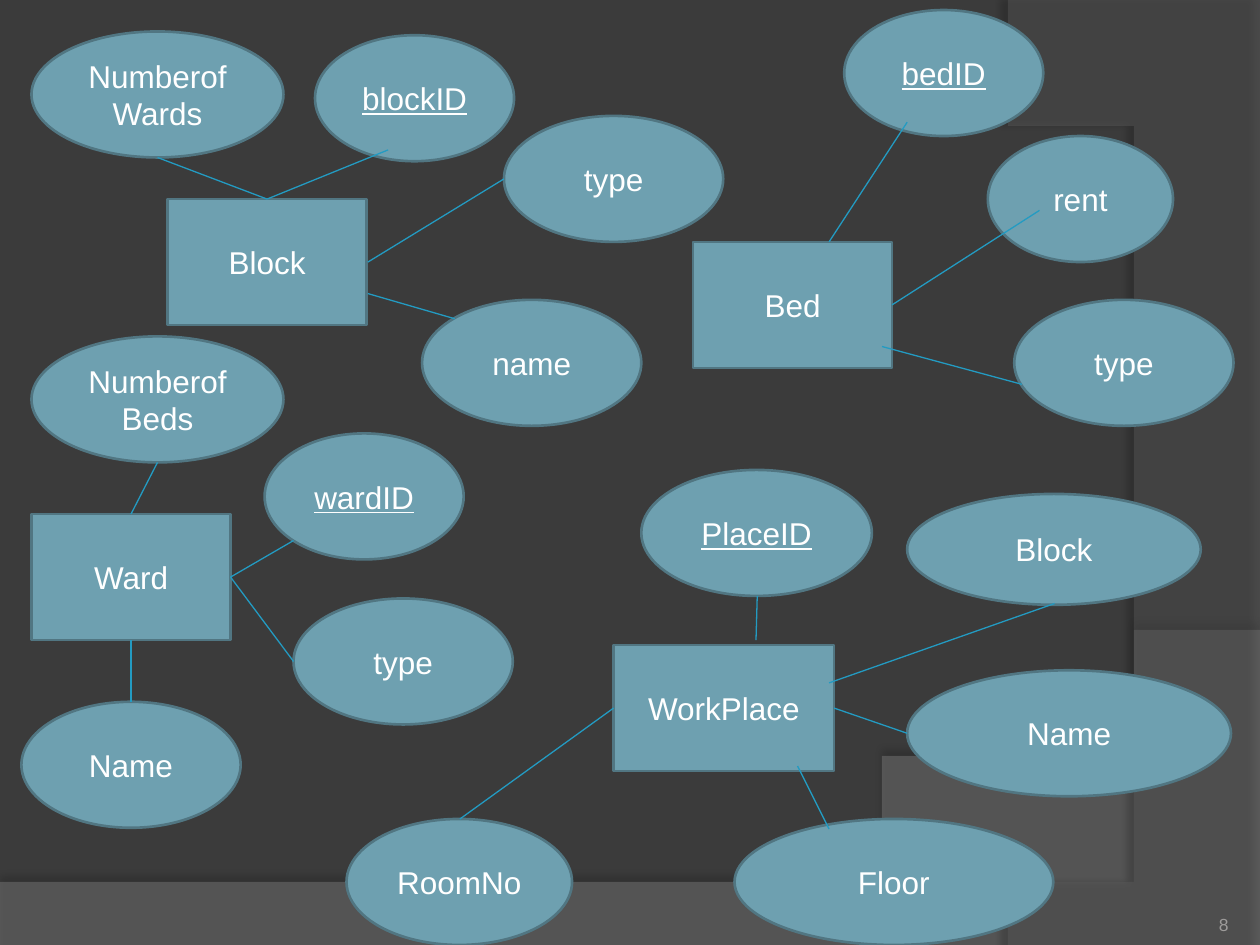
from lxml.etree import SubElement
from pptx import Presentation
from pptx.dml.color import RGBColor
from pptx.enum.shapes import MSO_CONNECTOR as CONNECTOR, MSO_SHAPE as SHAPE
from pptx.enum.text import MSO_ANCHOR as ANCHOR, PP_ALIGN as ALIGN
from pptx.oxml.ns import qn
from pptx.util import Inches, Pt

# Content: each entity with its box, attributes (label, box, is key) and links
DIAGRAM = [
    {"entity": ("Bed", (5.5, 1.92, 1.58, 1)),
     "attributes": [("bedID", (6.7, 0.08, 1.58, 1), True),
                    ("rent", (7.84, 1.08, 1.47, 1), False),
                    ("type", (8.05, 2.38, 1.74, 1), False)],
     "links": [(6.58, 1.92, 7.2, 0.97), (7.08, 2.42, 8.25, 1.67),
               (8.11, 3.05, 7, 2.75)]},
    {"entity": ("Block", (1.33, 1.58, 1.58, 1)),
     "attributes": [("NumberofWards", (0.25, 0.25, 2, 1), False),
                    ("blockID", (2.5, 0.28, 1.58, 1), True),
                    ("type", (4, 0.92, 1.74, 1), False),
                    ("name", (3.35, 2.38, 1.74, 1), False)],
     "links": [(2.12, 1.58, 1.25, 1.25), (2.12, 1.58, 3.08, 1.19),
               (4, 1.42, 2.92, 2.08), (3.61, 2.53, 2.92, 2.33)]},
    {"entity": ("Ward", (0.25, 4.08, 1.58, 1)),
     "attributes": [("NumberofBeds", (0.25, 2.67, 2, 1), False),
                    ("wardID", (2.1, 3.44, 1.58, 1), True),
                    ("type", (2.33, 4.75, 1.74, 1), False),
                    ("Name", (0.17, 5.57, 1.74, 1), False)],
     "links": [(1.04, 4.08, 1.25, 3.67), (1.83, 4.58, 2.33, 4.29),
               (2.33, 5.25, 1.83, 4.58), (1.04, 5.57, 1.04, 5.08)]},
    {"entity": ("WorkPlace", (4.87, 5.12, 1.75, 1)),
     "attributes": [("PlaceID", (5.09, 3.73, 1.83, 1), True),
                    ("Block", (7.2, 3.92, 2.33, 0.88), False),
                    ("Floor", (5.83, 6.5, 2.53, 1), False),
                    ("RoomNo", (2.75, 6.5, 1.79, 1), False),
                    ("Name", (7.2, 5.32, 2.57, 1), False)],
     "links": [(6, 5.08, 6.01, 4.73), (6.58, 5.42, 8.37, 4.79),
               (6.33, 6.08, 6.58, 6.58), (4.87, 5.62, 3.65, 6.5),
               (7.2, 5.82, 6.62, 5.62)]},
]

# Background waves: a Bezier edge, closed by straight corners
WAVES = [
    {"curve": [(10, 5.2), (5.59, 7.29), (3.91, 7.19), (0, 7.05)],
     "corners": [(0, 7.5), (10, 7.5)], "color": "7F7F7F", "alpha": 45,
     "shadow": {"alpha": 35, "distance": 3.5, "direction": 270}},
    {"curve": [(8.21, 7.5), (9.35, 6.19), (10.18, 3), (8, 0)],
     "corners": [(10, 0.02), (10, 7.5)], "color": "5E5E5E", "alpha": 40,
     "shadow": {"alpha": 45, "distance": 4, "direction": 180}},
]


def color(value):
    return RGBColor.from_string(value)


def write(shape, text, size=18, hex_color="FFFFFF", align=ALIGN.CENTER,
          anchor=ANCHOR.MIDDLE, underline=None, margin=None):
    frame = shape.text_frame
    frame.word_wrap = True
    frame.vertical_anchor = anchor
    if margin is not None:
        frame.margin_left = frame.margin_right = Inches(margin)
        frame.margin_top = frame.margin_bottom = Inches(margin)
    paragraph = frame.paragraphs[0]
    paragraph.alignment = align
    run = paragraph.add_run()
    run.text = text
    run.font.name = "Arial"
    run.font.size = Pt(size)
    run.font.underline = underline
    run.font.color.rgb = color(hex_color)


def add_node(slide, kind, label, box, key=False):
    shape = slide.shapes.add_shape(kind, *map(Inches, box))
    shape.shadow.inherit = False
    shape.fill.solid()
    shape.fill.fore_color.rgb = color("6EA0B0")
    shape.line.color.rgb = color("517682")
    shape.line.width = Pt(1.5)
    write(shape, label, underline=key or None)


def add_link(slide, ends):
    line = slide.shapes.add_connector(CONNECTOR.STRAIGHT, *map(Inches, ends))
    line.line.color.rgb = color("239BC2")
    line.line.width = Pt(0.75)
    SubElement(line._element.spPr, qn("a:effectLst"))


def bezier(points, steps=60):
    def at(t):
        weights = ((1 - t) ** 3, 3 * t * (1 - t) ** 2,
                   3 * t * t * (1 - t), t ** 3)
        return tuple(sum(w * p[axis] for w, p in zip(weights, points))
                     for axis in (0, 1))
    return [at(step / steps) for step in range(steps + 1)]


def set_alpha(color_element, percent):
    SubElement(color_element, qn("a:alpha"), val=str(percent * 1000))


def add_wave(slide, wave):
    outline = bezier(wave["curve"]) + wave["corners"]
    builder = slide.shapes.build_freeform(*outline[0], scale=Inches(1))
    builder.add_line_segments(outline[1:], close=True)
    shape = builder.convert_to_shape()
    shape.line.fill.background()
    shape.fill.solid()
    shape.fill.fore_color.rgb = color(wave["color"])
    properties = shape._element.spPr
    set_alpha(properties.find(f".//{qn('a:solidFill')}/{qn('a:srgbClr')}"),
              wave["alpha"])
    # Soft shadow along the curved edge
    shadow = wave["shadow"]
    effects = SubElement(properties, qn("a:effectLst"))
    outer = SubElement(effects, qn("a:outerShdw"), blurRad=str(Pt(4)),
                       dist=str(Pt(shadow["distance"])),
                       dir=str(shadow["direction"] * 60000),
                       algn="ctr", rotWithShape="0")
    set_alpha(SubElement(outer, qn("a:srgbClr"), val="000000"),
              shadow["alpha"])


def main():
    presentation = Presentation()
    presentation.slide_width = Inches(10)
    presentation.slide_height = Inches(7.5)
    slide = presentation.slides.add_slide(presentation.slide_layouts[6])

    # Background
    slide.background.fill.solid()
    slide.background.fill.fore_color.rgb = color("3B3B3B")
    for wave in WAVES:
        add_wave(slide, wave)

    # Entities, their attributes and the links between them
    for group in DIAGRAM:
        add_node(slide, SHAPE.RECTANGLE, *group["entity"])
        for attribute in group["attributes"]:
            add_node(slide, SHAPE.OVAL, *attribute)
        for ends in group["links"]:
            add_link(slide, ends)

    # Slide number
    number = slide.shapes.add_textbox(*map(Inches, (8.92, 7.02, 0.83, 0.4)))
    write(number, "8", size=10, hex_color="9D9B9A", align=ALIGN.RIGHT,
          anchor=ANCHOR.BOTTOM, margin=0)

    presentation.save("out.pptx")


if __name__ == "__main__":
    main()
